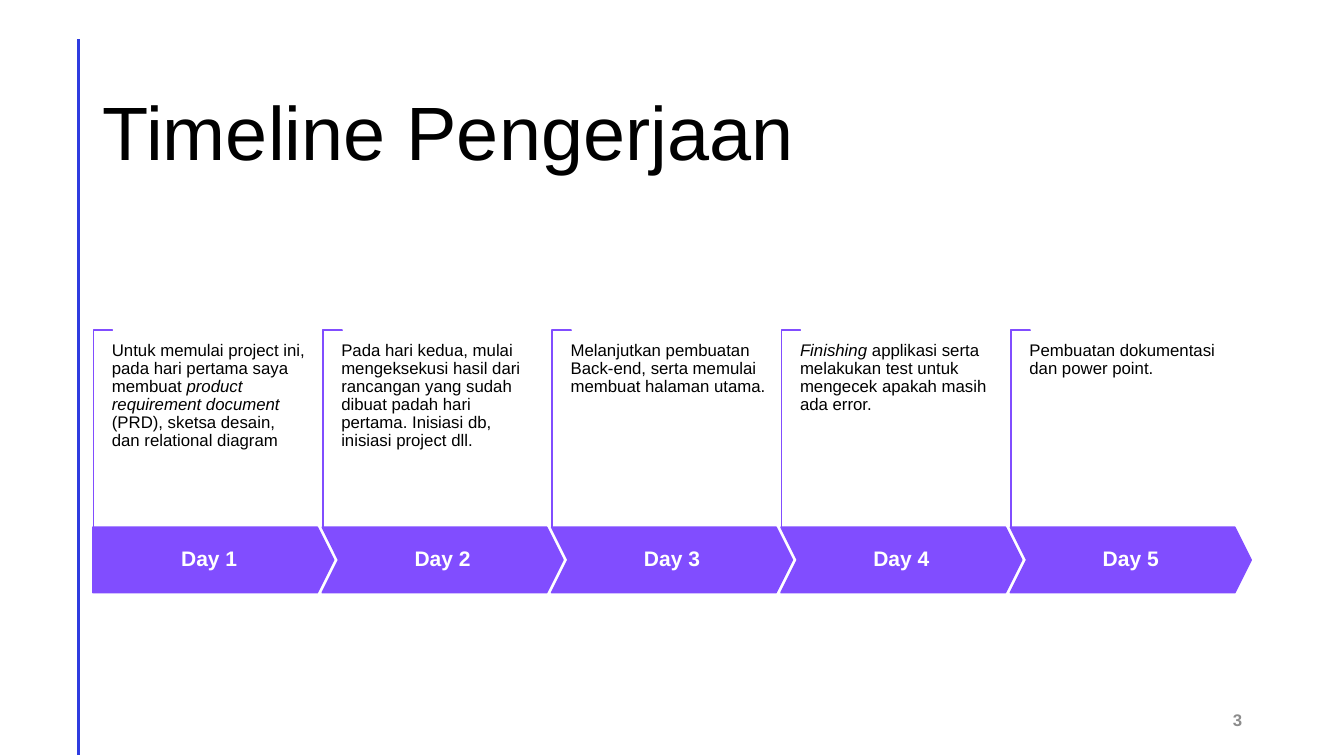
"""Build the project timeline slide with five daily steps."""
from lxml import etree
from pptx import Presentation
from pptx.dml.color import RGBColor
from pptx.enum import shapes as kinds, text as t
from pptx.oxml.ns import qn
from pptx.util import Inches, Pt


def paint(shape, fill, line):
    shape.shadow.inherit = False
    shape.fill.solid()
    shape.fill.fore_color.rgb = RGBColor.from_string(fill)
    shape.line.color.rgb = RGBColor.from_string(line)
    shape.line.width = Pt(1)


def write(shape, runs, size, color, align, anchor, bold=False, inset=0.0):
    frame = shape.text_frame
    frame.word_wrap = True
    frame.auto_size = t.MSO_AUTO_SIZE.NONE
    frame.vertical_anchor = anchor
    frame.margin_left = frame.margin_right = Inches(inset)
    frame.margin_top = frame.margin_bottom = Inches(inset / 2)
    para = frame.paragraphs[0]
    para.alignment = align
    para.line_spacing = 0.9
    para.font.name = "Arial"
    para.font.size = Pt(size)
    para.font.bold = bold
    para.font.color.rgb = RGBColor.from_string(color)
    for words, slant in runs:
        run = para.add_run()
        run.text = words
        if slant:
            run.font.italic = True


PURPLE = "814DFF"
LEFT, RIGHT, CENTER = t.PP_ALIGN.LEFT, t.PP_ALIGN.RIGHT, t.PP_ALIGN.CENTER
TOP, MIDDLE, BOTTOM = t.MSO_ANCHOR.TOP, t.MSO_ANCHOR.MIDDLE, t.MSO_ANCHOR.BOTTOM
STEP = 2.275

days = [
    [("Untuk memulai project ini, pada hari pertama saya membuat ", False),
     ("product requirement document ", True),
     ("(PRD), sketsa desain, dan relational diagram", False)],
    [("Pada hari kedua, mulai mengeksekusi hasil dari rancangan yang sudah "
      "dibuat padah hari pertama. Inisiasi db, inisiasi project dll.", False)],
    [("Melanjutkan pembuatan Back-end, serta memulai membuat halaman utama.", False)],
    [("Finishing ", True),
     ("applikasi serta melakukan test untuk mengecek apakah masih ada error.", False)],
    [("Pembuatan dokumentasi dan power point.", False)],
]

deck = Presentation()
deck.slide_width, deck.slide_height = Inches(13.33), Inches(7.5)
slide = deck.slides.add_slide(deck.slide_layouts[5])
items = slide.shapes

rule = items.add_connector(kinds.MSO_CONNECTOR.STRAIGHT, Inches(0.78), Inches(0.39),
                           Inches(0.78), Inches(7.49))
rule.line.color.rgb = RGBColor.from_string("2F3CE0")
rule.line.width = Pt(2)
etree.SubElement(rule._element.spPr, qn("a:effectLst"))

title = items.title
title.left, title.top = Inches(0.92), Inches(0.15)
title.width, title.height = Inches(11.5), Inches(1.65)
write(title, [("Timeline Pengerjaan", False)], 54, "000000", LEFT, BOTTOM, inset=0.1)

page = items.add_textbox(Inches(9.42), Inches(6.95), Inches(3), Inches(0.4))
write(page, [("3", False)], 12, "8C8C8C", RIGHT, MIDDLE, True, 0.1)

for i, note in enumerate(days):
    x = i * STEP
    hook = items.add_shape(kinds.MSO_SHAPE.CORNER, Inches(0.04 + x), Inches(4.16),
                           Inches(1.96), Inches(0.19))
    hook.rotation = 90
    hook.adjustments[0] = hook.adjustments[1] = 0.01
    paint(hook, "FFFFFF", PURPLE)

    kind = kinds.MSO_SHAPE.CHEVRON if i else kinds.MSO_SHAPE.PENTAGON
    arrow = items.add_shape(kind, Inches(0.92 + x), Inches(5.23), Inches(2.39), Inches(0.65))
    arrow.adjustments[0] = 0.25
    paint(arrow, PURPLE, PURPLE)
    write(arrow, [(f"Day {i + 1}", False)], 15, "FFFFFF", CENTER, MIDDLE, True)

    box = items.add_textbox(Inches(1.11 + x), Inches(3.39), Inches(1.94), Inches(1.29))
    write(box, note, 12, "000000", LEFT, TOP)

deck.save("out.pptx")
